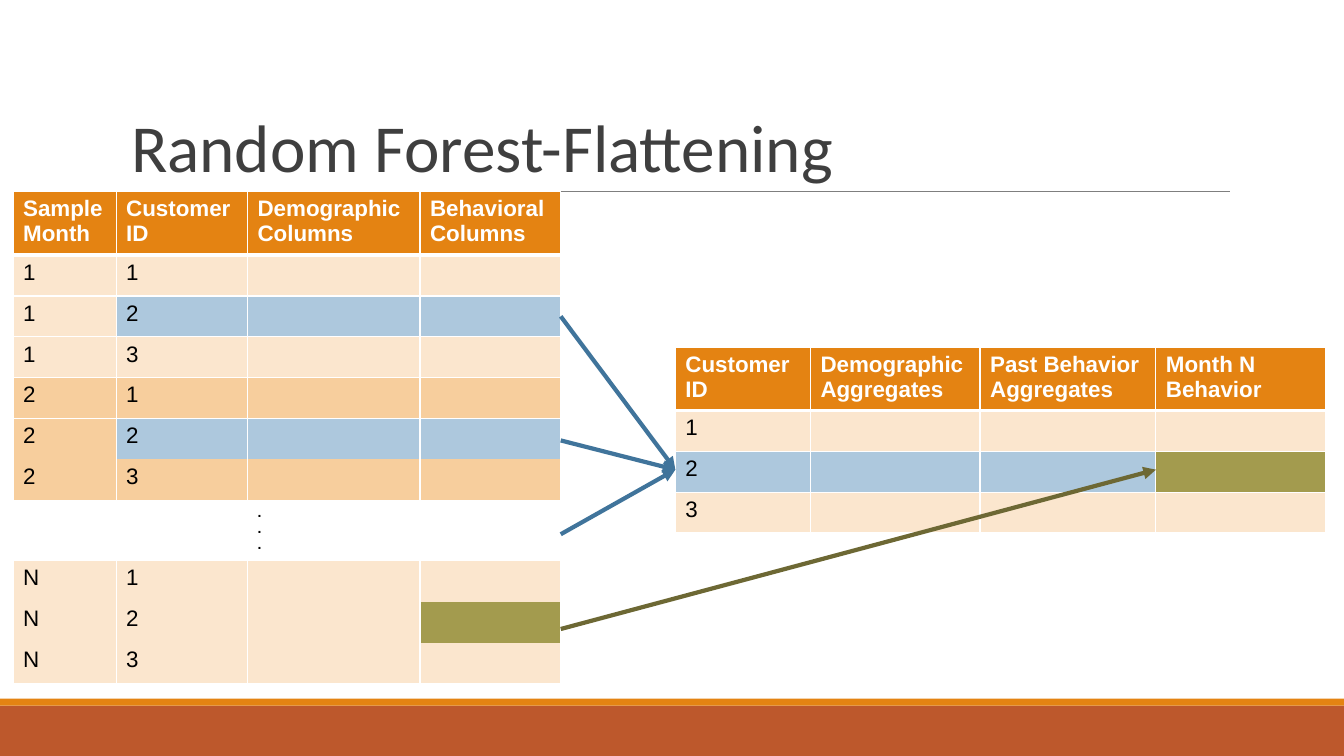
from dataclasses import dataclass
from typing import NamedTuple

from pptx import Presentation
from pptx.dml.color import RGBColor as RGB
from pptx.enum.shapes import MSO_CONNECTOR as Conn, MSO_SHAPE as Shape
from pptx.enum.text import MSO_ANCHOR as Anchor, MSO_AUTO_SIZE as AutoSize, PP_ALIGN as Align
from pptx.oxml.ns import qn
from pptx.oxml.xmlchemy import OxmlElement as element
from pptx.util import Pt


@dataclass(frozen=True)
class Theme:
    white: str = "FFFFFF"
    black: str = "000000"
    title: str = "3F3F3F"
    rule: str = "7F7F7F"
    orange: str = "E48312"
    rust: str = "BD582C"
    light: str = "FBE6CE"
    tan: str = "F7CE9D"
    blue: str = "ADC8DD"
    olive: str = "A39B4E"
    blue_line: str = "40749B"
    olive_line: str = "6D6834"
    title_font: str = "Calibri"
    table_font: str = "Arial"
    title_size: float = 48
    table_size: float = 16
    dots_size: float = 10


T = Theme()
HEADER_H, ROW_H, DOTS_H = 45.4, 29.2, 43.2


class Row(NamedTuple):
    texts: tuple[str, ...]
    fills: tuple[str | None, ...]
    sides: str = "LRTB"
    height: float = ROW_H
    size: float = T.table_size
    color: str = T.black
    bold: bool = False
    bottom: float = 1


class Grid(NamedTuple):
    left: float
    top: float
    widths: tuple[float, ...]
    rows: tuple[Row, ...]


class Line(NamedTuple):
    x1: float
    y1: float
    x2: float
    y2: float
    color: str
    width: float = 3
    arrow: bool = True


class Band(NamedTuple):
    top: float
    height: float
    color: str


def header(*texts: str) -> Row:
    return Row(texts, (T.orange,) * 4, height=HEADER_H, color=T.white, bold=True, bottom=3)


def sample(month: str, customer: str, base: str, rest: str, last: str | None = None,
           sides: str = "LRTB") -> Row:
    return Row((month, customer, "", ""), (base, rest, rest, last or rest), sides)


def summary(customer: str, fill: str, last: str) -> Row:
    return Row((customer, "", "", ""), (fill, fill, fill, last))


SAMPLES = Grid(9.36, 136.8, (73.6, 93.9, 123.2, 100.5), (
    header("Sample Month", "Customer ID", "Demographic Columns", "Behavioral Columns"),
    sample("1", "1", T.light, T.light),
    sample("1", "2", T.light, T.blue),
    sample("1", "3", T.light, T.light),
    sample("2", "1", T.tan, T.tan),
    sample("2", "2", T.tan, T.blue, sides="LRT"),
    sample("2", "3", T.tan, T.tan, sides="LR"),
    Row(("", "", ".\n.\n.", ""), (None,) * 4, "", DOTS_H, T.dots_size, bold=True),
    sample("N", "1", T.light, T.light, sides="LR"),
    sample("N", "2", T.light, T.light, T.olive, sides="LR"),
    sample("N", "3", T.light, T.light, sides="LRB"),
))
SUMMARY = Grid(482.4, 247.8, (96.5, 121.2, 125.6, 121), (
    header("Customer ID", "Demographic Aggregates", "Past Behavior Aggregates", "Month N Behavior"),
    summary("1", T.light, T.light),
    summary("2", T.blue, T.olive),
    summary("3", T.light, T.light),
))
BANDS = (Band(504, 36, T.rust), Band(499, 5, T.orange))
EXIT_X = SAMPLES.left + sum(SAMPLES.widths)
ENTRY_X, ENTRY_Y = SUMMARY.left, 335.5
RESULT_X = SUMMARY.left + sum(SUMMARY.widths[:3])
ARROWS = (
    Line(EXIT_X, 226, ENTRY_X, ENTRY_Y, T.blue_line),
    Line(EXIT_X, 314.6, ENTRY_X, ENTRY_Y, T.blue_line),
    Line(EXIT_X, 449.3, RESULT_X, ENTRY_Y, T.olive_line),
    Line(EXIT_X, 381.6, ENTRY_X, ENTRY_Y, T.blue_line),
)


def write(tf, text: str, *, font: str, size: float, color: str, bold: bool = False,
          spacing: float = 1) -> None:
    for i, line in enumerate(text.split("\n")):
        p = tf.add_paragraph() if i else tf.paragraphs[0]
        p.alignment, p.line_spacing = Align.LEFT, spacing
        r = p.add_run()
        r.text = line
        r.font.name, r.font.size, r.font.bold = font, Pt(size), bold
        r.font.color.rgb = RGB.from_string(color)


def set_borders(cell, row: Row) -> None:
    tc_pr = cell._tc.get_or_add_tcPr()
    for side in "LRTB":
        ln = element(f"a:ln{side}")
        tc_pr.append(ln)
        if side not in row.sides:
            ln.append(element("a:noFill"))
            continue
        ln.set("w", str(int(Pt(row.bottom if side == "B" else 1))))
        fill, clr = element("a:solidFill"), element("a:srgbClr")
        clr.set("val", T.white)
        fill.append(clr)
        ln.append(fill)


def draw_grid(shapes, grid: Grid) -> None:
    heights = [row.height for row in grid.rows]
    table = shapes.add_table(len(heights), len(grid.widths), Pt(grid.left), Pt(grid.top),
                             Pt(sum(grid.widths)), Pt(sum(heights))).table
    table.horz_banding = False
    for col, width in zip(table.columns, grid.widths):
        col.width = Pt(width)
    for i, row in enumerate(grid.rows):
        table.rows[i].height = Pt(row.height)
        for j, (text, fill) in enumerate(zip(row.texts, row.fills)):
            cell = table.cell(i, j)
            set_borders(cell, row)
            if fill:
                cell.fill.solid()
                cell.fill.fore_color.rgb = RGB.from_string(fill)
            else:
                cell.fill.background()
            if text:
                write(cell.text_frame, text, font=T.table_font, size=row.size,
                      color=row.color, bold=row.bold)


def draw_line(shapes, line: Line) -> None:
    sp = shapes.add_connector(Conn.STRAIGHT, Pt(line.x1), Pt(line.y1), Pt(line.x2), Pt(line.y2))
    sp.line.width = Pt(line.width)
    sp.line.color.rgb = RGB.from_string(line.color)
    sp_pr = sp._element.spPr
    if line.arrow:
        tail = element("a:tailEnd")
        tail.set("type", "triangle")
        sp_pr.find(qn("a:ln")).append(tail)
    sp_pr.append(element("a:effectLst"))


def draw_band(shapes, band: Band, width: int) -> None:
    sp = shapes.add_shape(Shape.RECTANGLE, 0, Pt(band.top), width, Pt(band.height))
    sp.shadow.inherit = False
    sp.fill.solid()
    sp.fill.fore_color.rgb = RGB.from_string(band.color)
    sp.line.fill.background()


def draw_title(sp) -> None:
    sp.left, sp.top, sp.width, sp.height = Pt(86.4), Pt(22.5), Pt(792), Pt(114.3)
    tf = sp.text_frame
    tf.auto_size, tf.vertical_anchor, tf.word_wrap = AutoSize.NONE, Anchor.BOTTOM, True
    write(tf, "Random Forest-Flattening", font=T.title_font, size=T.title_size,
          color=T.title, spacing=0.85)


def main() -> None:
    prs = Presentation()
    prs.slide_width, prs.slide_height = Pt(960), Pt(540)
    s = prs.slides.add_slide(prs.slide_layouts[5])
    for band in BANDS:
        draw_band(s.shapes, band, prs.slide_width)
    draw_line(s.shapes, Line(94.1, 136.8, 878.9, 136.8, T.rule, 0.75, False))
    draw_title(s.shapes.title)
    for grid in (SAMPLES, SUMMARY):
        draw_grid(s.shapes, grid)
    for arrow in ARROWS:
        draw_line(s.shapes, arrow)
    prs.save("out.pptx")


if __name__ == "__main__":
    main()
